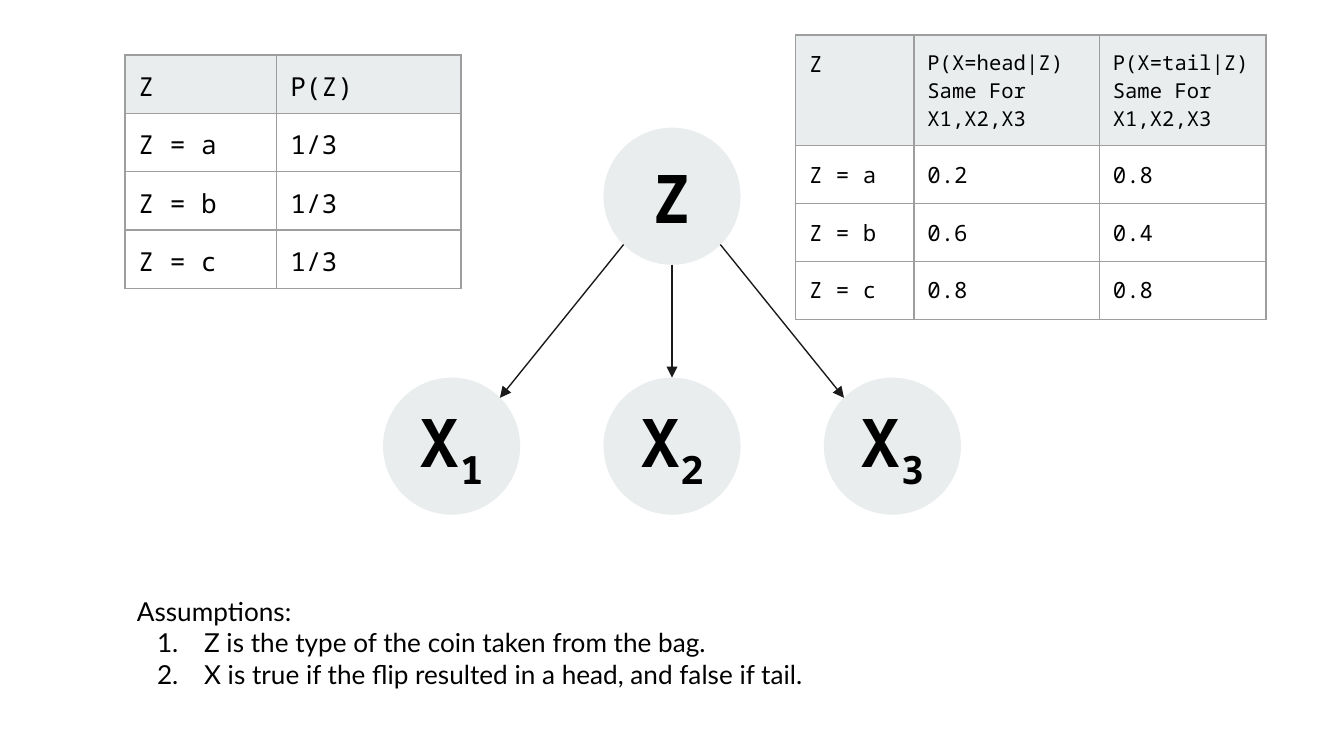
from dataclasses import dataclass

from lxml import etree
from pptx import Presentation
from pptx.dml.color import RGBColor
from pptx.enum import shapes, text
from pptx.oxml import ns
from pptx.util import Inches, Pt

PALE = RGBColor(0xE9, 0xED, 0xEE)
BLACK = RGBColor(0x00, 0x00, 0x00)
ARROW = RGBColor(0x1A, 0x1A, 0x1A)
BORDER = RGBColor(0x9E, 0x9E, 0x9E)
MONO = "Noto Sans Mono"
SANS = "Lato"
DIAMETER = 1.02
ROW_HEIGHT = 0.43
MARGIN = Inches(0.1)


@dataclass
class Node:
    letter: str
    index: str
    left: float
    top: float


@dataclass
class Arrow:
    start: tuple[float, float]
    end: tuple[float, float]


@dataclass
class ProbabilityTable:
    left: float
    top: float
    height: float
    widths: list[float]
    size: int
    heading_size: int
    rows: list[list[str]]


def add_run(paragraph, words: str, font_name: str, size: int, bold: bool = False):
    run = paragraph.add_run()
    run.text = words
    font = run.font
    font.name, font.size, font.bold = font_name, Pt(size), bold
    font.color.rgb = BLACK
    return run


def set_margins(box) -> None:
    box.margin_left = box.margin_right = MARGIN
    box.margin_top = box.margin_bottom = MARGIN


def draw_node(slide, node: Node):
    circle = slide.shapes.add_shape(
        shapes.MSO_SHAPE.OVAL, Inches(node.left), Inches(node.top),
        Inches(DIAMETER), Inches(DIAMETER))
    circle.shadow.inherit = False
    circle.fill.solid()
    circle.fill.fore_color.rgb = PALE
    circle.line.fill.background()
    frame = circle.text_frame
    set_margins(frame)
    frame.vertical_anchor = text.MSO_ANCHOR.MIDDLE
    label = frame.paragraphs[0]
    label.alignment = text.PP_ALIGN.CENTER
    add_run(label, node.letter, MONO, 36, bold=True)
    if node.index:
        subscript = add_run(label, node.index, MONO, 36, bold=True)
        subscript.font._element.set("baseline", "-25000")
    return circle


def draw_arrow(slide, arrow: Arrow):
    connector = slide.shapes.add_connector(
        shapes.MSO_CONNECTOR.STRAIGHT,
        *(Inches(value) for value in arrow.start + arrow.end))
    connector.line.color.rgb = ARROW
    connector.line.width = Pt(0.75)
    etree.SubElement(connector.line._get_or_add_ln(), ns.qn("a:tailEnd"), type="triangle")
    etree.SubElement(connector._element.spPr, ns.qn("a:effectLst"))
    return connector


def add_borders(cell) -> None:
    properties = cell._tc.get_or_add_tcPr()
    for position, side in enumerate(("lnL", "lnR", "lnT", "lnB")):
        line = etree.Element(ns.qn(f"a:{side}"), w=str(Pt(0.75)))
        fill = etree.SubElement(line, ns.qn("a:solidFill"))
        etree.SubElement(fill, ns.qn("a:srgbClr"), val=str(BORDER))
        properties.insert(position, line)


def draw_table(slide, data: ProbabilityTable) -> None:
    """Draw the table; its full height leaves room for a heading that wraps."""
    holder = slide.shapes.add_table(
        len(data.rows), len(data.widths), Inches(data.left), Inches(data.top),
        Inches(sum(data.widths)), Inches(data.height))
    table = holder.table
    table.first_row = table.horz_banding = False
    for column, width in zip(table.columns, data.widths):
        column.width = Inches(width)
    for r, values in enumerate(data.rows):
        table.rows[r].height = Inches(ROW_HEIGHT)
        for c, value in enumerate(values):
            cell = table.cell(r, c)
            set_margins(cell)
            if r == 0:
                cell.fill.solid()
                cell.fill.fore_color.rgb = PALE
            else:
                cell.fill.background()
            add_borders(cell)
            size = data.heading_size if r == 0 and c > 0 else data.size
            frame = cell.text_frame
            for i, line in enumerate(value.split("\n")):
                paragraph = frame.add_paragraph() if i else frame.paragraphs[0]
                add_run(paragraph, line, MONO, size)
    holder.height = Inches(data.height)


def draw_assumptions(slide, heading: str, assumptions: list[str]) -> None:
    box = slide.shapes.add_textbox(Inches(0.92), Inches(4.33), Inches(8.02), Inches(0.91))
    frame = box.text_frame
    frame.word_wrap = True
    frame.auto_size = text.MSO_AUTO_SIZE.SHAPE_TO_FIT_TEXT
    set_margins(frame)
    add_run(frame.paragraphs[0], heading, SANS, 14)
    for assumption in assumptions:
        item = frame.add_paragraph()
        properties = item._p.get_or_add_pPr()
        properties.set("marL", str(Inches(0.5)))
        properties.set("indent", str(Inches(-0.35)))
        color = etree.SubElement(properties, ns.qn("a:buClr"))
        etree.SubElement(color, ns.qn("a:srgbClr"), val=str(BLACK))
        etree.SubElement(properties, ns.qn("a:buFont"), typeface=SANS)
        etree.SubElement(properties, ns.qn("a:buAutoNum"), type="arabicPeriod")
        add_run(item, assumption, SANS, 14)


def main() -> None:
    deck = Presentation()
    deck.slide_width = Inches(10)
    deck.slide_height = deck.slide_width * 9 // 16
    slide = deck.slides.add_slide(deck.slide_layouts[6])

    draw_node(slide, Node("Z", "", 4.49, 0.95))
    flips = [draw_node(slide, Node("X", str(i + 1), 2.85 + 1.64 * i, 2.81))
             for i in range(3)]

    draw_arrow(slide, Arrow((4.64, 1.82), (3.72, 2.96)))
    to_second_flip = draw_arrow(slide, Arrow((5, 1.97), (5, 2.81)))
    to_second_flip.end_connect(flips[1], 0)
    draw_arrow(slide, Arrow((5.36, 1.82), (6.28, 2.96)))

    draw_table(slide, ProbabilityTable(
        5.92, 0.26, 2.05, [0.88, 1.38, 1.24], 12, 11,
        [["Z", "P(X=head|Z)\nSame For X1,X2,X3", "P(X=tail|Z)\nSame For X1,X2,X3"],
         ["Z = a", "0.2", "0.8"],
         ["Z = b", "0.6", "0.4"],
         ["Z = c", "0.8", "0.8"]]))
    draw_assumptions(slide, "Assumptions:", [
        "Z is the type of the coin taken from the bag.",
        "X is true if the flip resulted in a head, and false if tail."])
    draw_table(slide, ProbabilityTable(
        0.93, 0.41, 1.73, [1.13, 1.37], 14, 14,
        [["Z", "P(Z)"], ["Z = a", "1/3"], ["Z = b", "1/3"], ["Z = c", "1/3"]]))

    deck.save("out.pptx")


if __name__ == "__main__":
    main()
